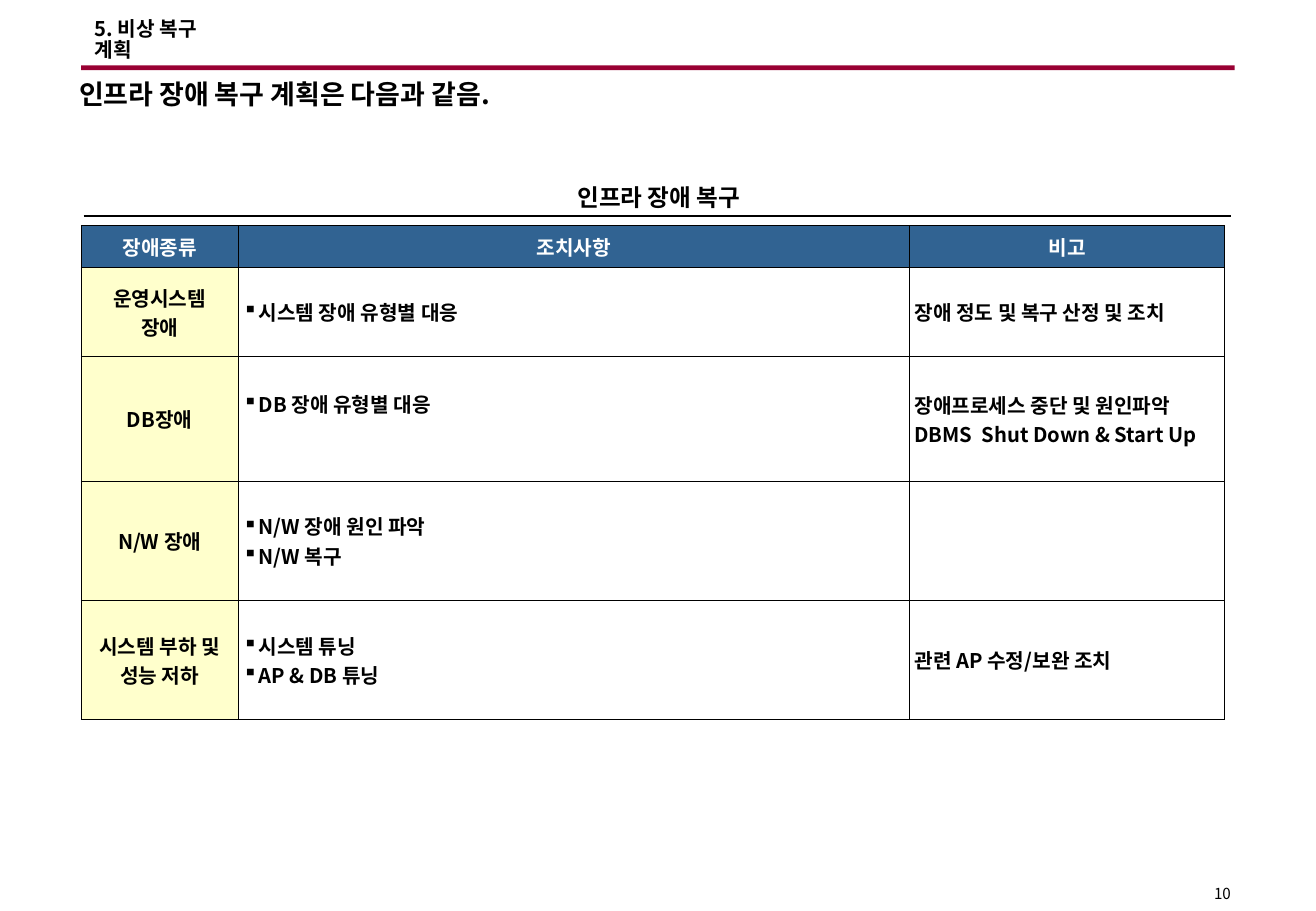
import lxml.etree
import pptx
import pptx.dml.color
import pptx.enum.shapes
import pptx.enum.text
import pptx.oxml.ns
import pptx.util

Cm = pptx.util.Cm
Pt = pptx.util.Pt
qn = pptx.oxml.ns.qn
ALIGN = pptx.enum.text.PP_ALIGN
ANCHOR = pptx.enum.text.MSO_ANCHOR

HEADERS = ["장애종류", "조치사항", "비고"]
ROWS = [
    (["운영시스템", "장애"], ["시스템 장애 유형별 대응"], ["장애 정도 및 복구 산정 및 조치"]),
    (["DB장애"], ["DB 장애 유형별 대응"],
     ["장애프로세스 중단 및 원인파악", "DBMS  Shut Down & Start Up"]),
    (["N/W 장애"], ["N/W 장애 원인 파악", "N/W 복구"], []),
    (["시스템 부하 및 성능 저하"], ["시스템 튜닝", "AP & DB 튜닝"], ["관련 AP 수정/보완 조치"]),
]
COL_WIDTHS = [3.28, 14.05, 6.59]
ROW_HEIGHTS = [0.86, 1.86, 2.61, 2.49, 2.49]


def rgb(color):
    return pptx.dml.color.RGBColor.from_string(color)


def add_xml(parent, tag, **attrs):
    return lxml.etree.SubElement(parent, qn(tag), **attrs)


class Deck:
    font = "Noto Sans CJK KR"
    black, white = "000000", "FFFFFF"
    red, blue, yellow = "990033", "316392", "FFFFCC"

    def __init__(self, width, height):
        self.prs = pptx.Presentation()
        self.prs.slide_width, self.prs.slide_height = Cm(width), Cm(height)
        self.prs.element.set("firstSlideNum", "10")
        self.slide = self.prs.slides.add_slide(self.prs.slide_layouts[5])

    def style(self, p, size, color=black, bold=True, align=ALIGN.LEFT):
        p.alignment = align
        p.font.size, p.font.bold, p.font.name = Pt(size), bold, self.font
        p.font.color.rgb = rgb(color)
        add_xml(p._p.pPr.find(qn("a:defRPr")), "a:ea", typeface=self.font)

    def frame(self, sp, text, size, anchor=ANCHOR.TOP, wrap=True, **font):
        tf = sp.text_frame
        tf.text = text
        tf.auto_size = pptx.enum.text.MSO_AUTO_SIZE.NONE
        tf.word_wrap, tf.vertical_anchor = wrap, anchor
        self.style(tf.paragraphs[0], size, **font)
        return tf

    def title(self, text, x, y, w, h):
        sp = self.slide.shapes.title
        sp.left, sp.top, sp.width, sp.height = Cm(x), Cm(y), Cm(w), Cm(h)
        self.frame(sp, text, 16)

    def text(self, text, x, y, w, h, size, **options):
        sp = self.slide.shapes.add_textbox(Cm(x), Cm(y), Cm(w), Cm(h))
        return self.frame(sp, text, size, **options)

    def page_number(self, x, y, w, h):
        tf = self.text("", x, y, w, h, 9, anchor=ANCHOR.BOTTOM, wrap=False,
                       bold=False, align=ALIGN.RIGHT)
        tf.margin_left = tf.margin_right = tf.margin_top = tf.margin_bottom = Cm(0.05)
        fld = add_xml(tf.paragraphs[0]._p, "a:fld", type="slidenum",
                      id="{B6F15528-21DE-4FAA-801E-634DDDAF4B2B}")
        add_xml(fld, "a:rPr", lang="ko-KR", sz="900")
        add_xml(fld, "a:t").text = "10"

    def bar(self, x, y, w, h):
        sp = self.slide.shapes.add_shape(
            pptx.enum.shapes.MSO_SHAPE.RECTANGLE, Cm(x), Cm(y), Cm(w), Cm(h))
        sp.shadow.inherit = False
        sp.fill.solid()
        sp.fill.fore_color.rgb = rgb(self.red)
        sp.line.fill.background()

    def rule(self, x1, x2, y):
        line = self.slide.shapes.add_connector(
            pptx.enum.shapes.MSO_CONNECTOR.STRAIGHT, Cm(x1), Cm(y), Cm(x2), Cm(y))
        line.line.color.rgb, line.line.width = rgb(self.black), Pt(0.75)
        add_xml(line._element.spPr, "a:effectLst")

    def borders(self, cell):
        tcPr = cell._tc.get_or_add_tcPr()
        for tag in ("a:lnL", "a:lnR", "a:lnT", "a:lnB"):
            ln = add_xml(tcPr, tag, w=str(Pt(0.45)))
            add_xml(add_xml(ln, "a:solidFill"), "a:srgbClr", val=self.black)

    def cell(self, cell, lines, fill=None, color=black, align=ALIGN.LEFT,
             margin=0.1, hanging=False, bullet=None):
        self.borders(cell)
        if fill:
            cell.fill.solid()
            cell.fill.fore_color.rgb = rgb(fill)
        else:
            cell.fill.background()
        cell.vertical_anchor = ANCHOR.MIDDLE
        cell.margin_left = cell.margin_right = Cm(margin)
        cell.margin_top = cell.margin_bottom = Cm(0.13)
        cell.text = "\n".join(lines)
        for p in cell.text_frame.paragraphs:
            pPr = p._p.get_or_add_pPr()
            if hanging:
                pPr.set("marL", str(Cm(0.33)))
                pPr.set("indent", str(-Cm(0.33)))
            if bullet:
                add_xml(add_xml(pPr, "a:buClr"), "a:srgbClr", val=self.black)
                add_xml(pPr, "a:buChar", char=bullet)
            self.style(p, 12, color, align=align)

    def table(self, x, y):
        frame = self.slide.shapes.add_table(
            len(ROW_HEIGHTS), len(COL_WIDTHS), Cm(x), Cm(y),
            Cm(sum(COL_WIDTHS)), Cm(sum(ROW_HEIGHTS)))
        tbl = frame.table
        for col, width in zip(tbl.columns, COL_WIDTHS):
            col.width = Cm(width)
        for row, height in zip(tbl.rows, ROW_HEIGHTS):
            row.height = Cm(height)
        for c, header in enumerate(HEADERS):
            self.cell(tbl.cell(0, c), [header], self.blue, self.white, ALIGN.CENTER)
        for r, (fault, actions, remarks) in enumerate(ROWS, 1):
            self.cell(tbl.cell(r, 0), fault, self.yellow, align=ALIGN.CENTER, margin=0.25)
            self.cell(tbl.cell(r, 1), actions, hanging=True, bullet="▪")
            self.cell(tbl.cell(r, 2), remarks, hanging=True)
        tbl.cell(2, 1).margin_bottom = Cm(0.75)


def main():
    deck = Deck(27.53, 19.05)
    deck.bar(1.7, 1.37, 24.13, 0.1)
    deck.page_number(24.1, 18.36, 1.7, 0.56)
    header = deck.text("5. 비상 복구 계획", 1.73, 0.1, 3.4, 1.32, 12, anchor=ANCHOR.BOTTOM)
    header.paragraphs[0].line_spacing = 0.88
    deck.title("인프라 장애 복구 계획은 다음과 같음.", 1.4, 1.5, 24.71, 0.99)
    deck.table(1.7, 4.72)
    deck.text("인프라 장애 복구", 11.79, 3.71, 3.99, 0.91, 14, wrap=False, align=ALIGN.CENTER)
    deck.rule(1.75, 25.76, 4.52)
    deck.prs.save("out.pptx")


if __name__ == "__main__":
    main()
